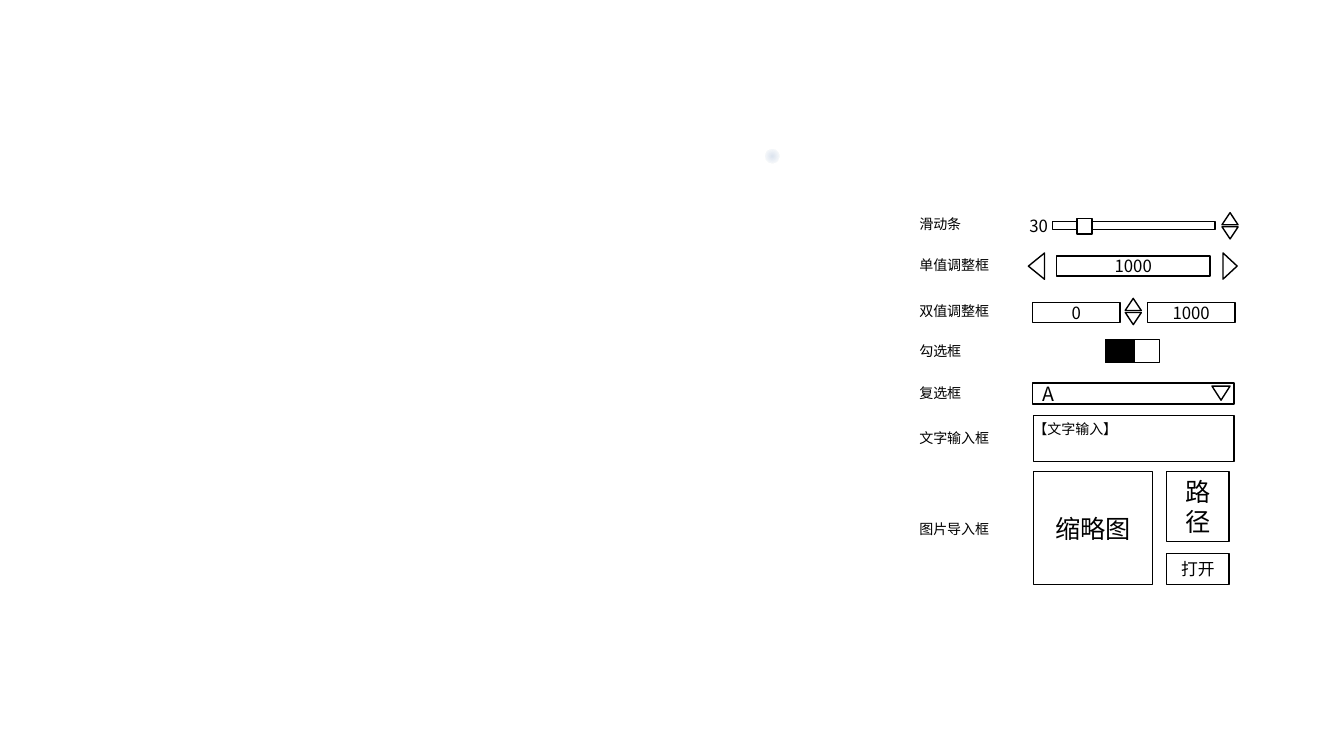
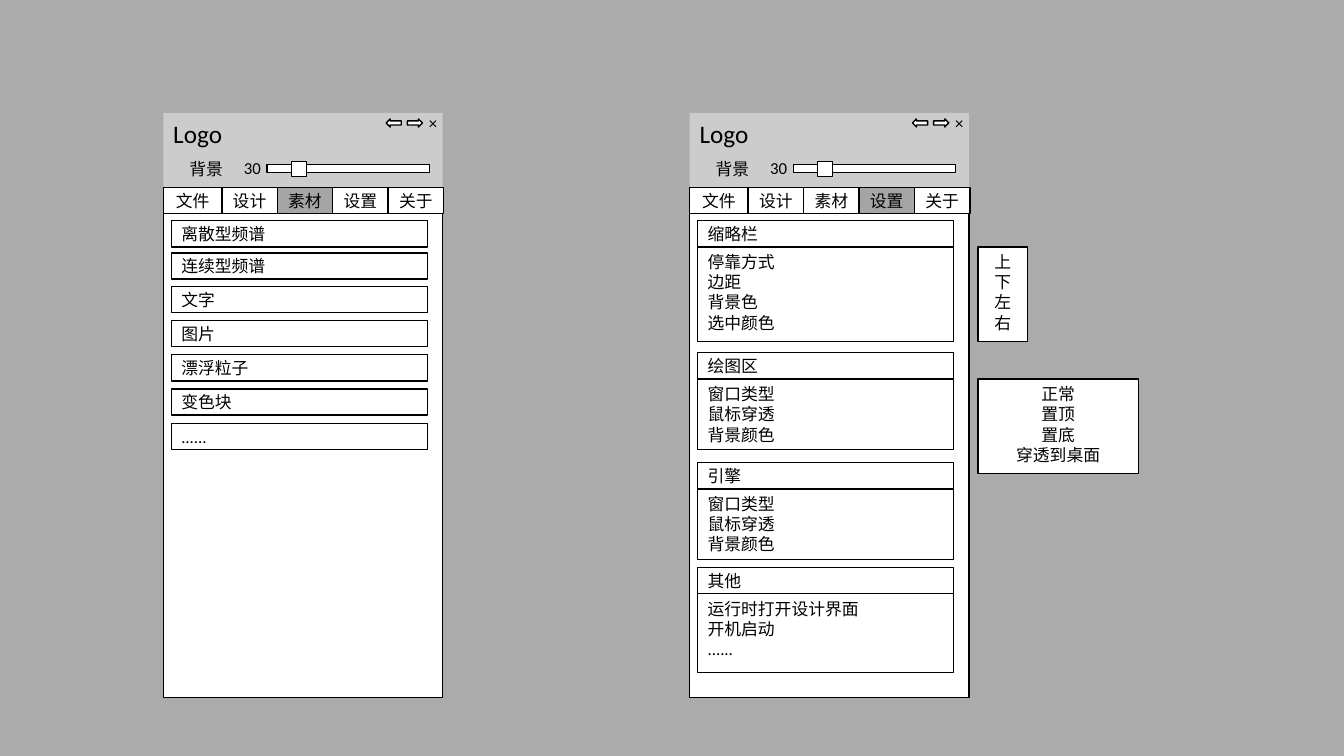
import dataclasses

import lxml.etree
import pptx
import pptx.dml.color
import pptx.enum.shapes
import pptx.enum.text
import pptx.oxml.ns
import pptx.util

Inches = pptx.util.Inches
Kind = pptx.enum.shapes.MSO_SHAPE
Align = pptx.enum.text.PP_ALIGN
Anchor = pptx.enum.text.MSO_ANCHOR
qn = pptx.oxml.ns.qn


@dataclasses.dataclass(frozen=True)
class Theme:
    ink: str = "000000"
    paper: str = "FFFFFF"
    desk: str = "ABABAB"
    head: str = "CCCCCC"
    active: str = "A5A5A5"
    glow: str = "DCE4EF"
    cjk: str = "Noto Sans CJK SC"
    plain: str = "Calibri"
    small: int = 10
    body: int = 12
    pick: int = 14
    large: int = 18
    line: int = 1


THEME = Theme()


def rgb(code):
    return pptx.dml.color.RGBColor.from_string(code)


class Pen:
    """Draws outlined shapes and text in one typeface on one slide."""

    def __init__(self, slide, face):
        self.slide = slide
        self.face = face

    def letter(self, shape, text, size, align, anchor, inset):
        frame = shape.text_frame
        frame.word_wrap = True
        frame.vertical_anchor = anchor
        frame.margin_left = frame.margin_right = Inches(inset)
        frame.text = text
        for para in frame.paragraphs:
            para.alignment = align
            font = para.font
            font.size = pptx.util.Pt(size)
            font.color.rgb = rgb(THEME.ink)
            font.name = self.face
            # East Asian text keeps the line height of the plain face
            props = para._p.pPr.find(qn("a:defRPr"))
            east = lxml.etree.SubElement(props, qn("a:ea"))
            east.set("typeface", THEME.plain)

    def shape(self, box, kind=Kind.RECTANGLE, fill=THEME.paper,
              line=THEME.ink, turn=0):
        item = self.slide.shapes.add_shape(kind, *map(Inches, box))
        item.shadow.inherit = False
        item.rotation = turn
        item.fill.solid()
        item.fill.fore_color.rgb = rgb(fill)
        if line:
            item.line.color.rgb = rgb(line)
            item.line.width = pptx.util.Pt(THEME.line)
        else:
            item.line.fill.background()
        return item

    def box(self, box, text, size=THEME.body, align=Align.CENTER,
            anchor=Anchor.MIDDLE, fill=THEME.paper, inset=0.1):
        item = self.shape(box, fill=fill)
        self.letter(item, text, size, align, anchor, inset)

    def label(self, box, text, size=THEME.body, align=Align.LEFT,
              anchor=Anchor.TOP, inset=0.1):
        item = self.slide.shapes.add_textbox(*map(Inches, box))
        self.letter(item, text, size, align, anchor, inset)


# Controls, each placed from its top left corner
def slider(pen, left, top, value):
    pen.shape((left, top, 1.61, 0.08))
    pen.shape((left + 0.24, top - 0.03, 0.15, 0.15))
    pen.label((left - 0.33, top - 0.11, 0.42, 0.3), value)


def spinner(pen, left, top):
    for drop, turn in ((0, 0), (0.14, 180)):
        pen.shape((left, top + drop, 0.16, 0.12), Kind.ISOSCELES_TRIANGLE,
                  turn=turn)


def stepper(pen, left, top, value):
    pen.box((left + 0.33, top, 1.52, 0.2), value)
    pen.shape((left + 1.92, top + 0.03, 0.26, 0.14),
              Kind.ISOSCELES_TRIANGLE, turn=90)
    pen.shape((left, top + 0.02, 0.26, 0.16),
              Kind.ISOSCELES_TRIANGLE, turn=270)


def limits(pen, left, top, low, high):
    pen.box((left, top, 0.87, 0.2), low)
    spinner(pen, left + 0.92, top - 0.04)
    pen.box((left + 1.14, top, 0.87, 0.2), high)


def toggle(pen, left, top):
    pen.shape((left, top, 0.53, 0.23))
    pen.shape((left, top, 0.28, 0.23), fill=THEME.ink)


def picker(pen, left, top, choice):
    pen.box((left, top, 2, 0.21), choice, THEME.pick, Align.LEFT)
    pen.shape((left + 1.78, top + 0.03, 0.18, 0.14),
              Kind.ISOSCELES_TRIANGLE, turn=180)


def loader(pen, left, top):
    pen.box((left, top, 1.18, 1.12), "缩略图", THEME.large)
    pen.box((left + 1.32, top, 0.62, 0.69), "路径", THEME.large)
    pen.box((left + 1.32, top + 0.81, 0.62, 0.31), "打开")


def spot(pen, left, top, size):
    item = pen.shape((left, top, size, size), Kind.OVAL, line=None)
    item.fill.gradient()
    for stop, code in zip(item.fill.gradient_stops,
                          (THEME.glow, THEME.paper)):
        stop.color.rgb = rgb(code)
    grad = item.element.spPr.find(qn("a:gradFill"))
    for old in grad.findall(qn("a:lin")):
        grad.remove(old)
    ring = lxml.etree.SubElement(grad, qn("a:path"))
    ring.set("path", "circle")
    focus = lxml.etree.SubElement(ring, qn("a:fillToRect"))
    for side in "ltrb":
        focus.set(side, "50000")


def control_slide(slide):
    pen = Pen(slide, THEME.cjk)
    spot(pen, 7.59, 1.48, 0.14)

    # Names of the controls
    names = (("滑动条", 2.09), ("单值调整框", 2.5), ("双值调整框", 2.95),
             ("勾选框", 3.35), ("复选框", 3.77), ("文字输入框", 4.21),
             ("图片导入框", 5.11))
    for name, top in names:
        pen.label((9.02, top, 0.96, 0.27), name, THEME.small)

    # The controls themselves
    slider(pen, 10.44, 2.2, "30")
    spinner(pen, 12.12, 2.11)
    stepper(pen, 10.15, 2.54, "1000")
    limits(pen, 10.24, 3, "0", "1000")
    toggle(pen, 10.97, 3.37)
    picker(pen, 10.24, 3.8, "A")
    pen.box((10.25, 4.12, 1.99, 0.46), "【文字输入】", THEME.small,
            Align.LEFT, Anchor.TOP, inset=0)
    loader(pen, 10.25, 4.68)


# Window: header, tab bar and empty page
def window(pen, left, top, active):
    wide = 2.77
    pen.shape((left, top, wide, 0.74), fill=THEME.head, line=None)
    pen.label((left, top, 1.14, 0.4), "Logo", THEME.large)
    pen.label((left + 0.15, top + 0.42, 0.55, 0.26), "背景",
              align=Align.CENTER, anchor=Anchor.MIDDLE)
    slider(pen, left + 1.03, top + 0.51, "30")
    for step, kind in ((2.21, Kind.LEFT_ARROW), (2.42, Kind.RIGHT_ARROW)):
        pen.shape((left + step, top + 0.06, 0.15, 0.08), kind)
    pen.label((left + 2.58, top, 0.19, 0.2), "×", align=Align.CENTER,
              anchor=Anchor.MIDDLE, inset=0)

    pen.shape((left, top + 1, wide, 4.8))
    start = 0
    for tab in ("文件", "设计", "素材", "设置", "关于"):
        span = 0.55 if start else 0.58
        fill = THEME.active if tab == active else THEME.paper
        pen.box((left + start, top + 0.74, span, 0.26), tab, fill=fill)
        start += span


def bar(pen, left, top, text):
    pen.box((left, top, 2.54, 0.26), text, align=Align.LEFT)


def card(pen, left, top, title, high, lines):
    bar(pen, left, top, title)
    pen.box((left, top + 0.26, 2.54, high), "\n".join(lines),
            align=Align.LEFT, anchor=Anchor.TOP)


def menu(pen, left, top, wide, lines):
    pen.box((left, top, wide, 0.94), "\n".join(lines), anchor=Anchor.TOP)


def material(pen, left, top):
    window(pen, left, top, "素材")
    rows = (("离散型频谱", 1.07), ("连续型频谱", 1.39), ("文字", 1.72),
            ("图片", 2.06), ("漂浮粒子", 2.4), ("变色块", 2.74),
            ("......", 3.08))
    for text, drop in rows:
        bar(pen, left + 0.08, top + drop, text)


def settings(pen, left, top):
    window(pen, left, top, "设置")
    common = ("窗口类型", "鼠标穿透", "背景颜色")
    cards = (
        (1.07, "缩略栏", 0.94, ("停靠方式", "边距", "背景色", "选中颜色")),
        (2.38, "绘图区", 0.7, common),
        (3.47, "引擎", 0.7, common),
        (4.51, "其他", 0.78, ("运行时打开设计界面", "开机启动", "......")),
    )
    for drop, title, high, lines in cards:
        card(pen, left + 0.08, top + drop, title, high, lines)
    menu(pen, left + 2.86, top + 1.33, 0.49, ("上", "下", "左", "右"))
    menu(pen, left + 2.86, top + 2.64, 1.59,
         ("正常", "置顶", "置底", "穿透到桌面"))


def window_slide(slide):
    pen = Pen(slide, THEME.plain)
    material(pen, 1.62, 1.12)
    settings(pen, 6.84, 1.12)


def main():
    deck = pptx.Presentation()
    deck.slide_width, deck.slide_height = Inches(13.33), Inches(7.5)
    blank = deck.slide_layouts[6]
    for build, color in ((control_slide, THEME.paper),
                         (window_slide, THEME.desk)):
        slide = deck.slides.add_slide(blank)
        slide.background.fill.solid()
        slide.background.fill.fore_color.rgb = rgb(color)
        build(slide)
    deck.save("out.pptx")


if __name__ == "__main__":
    main()
